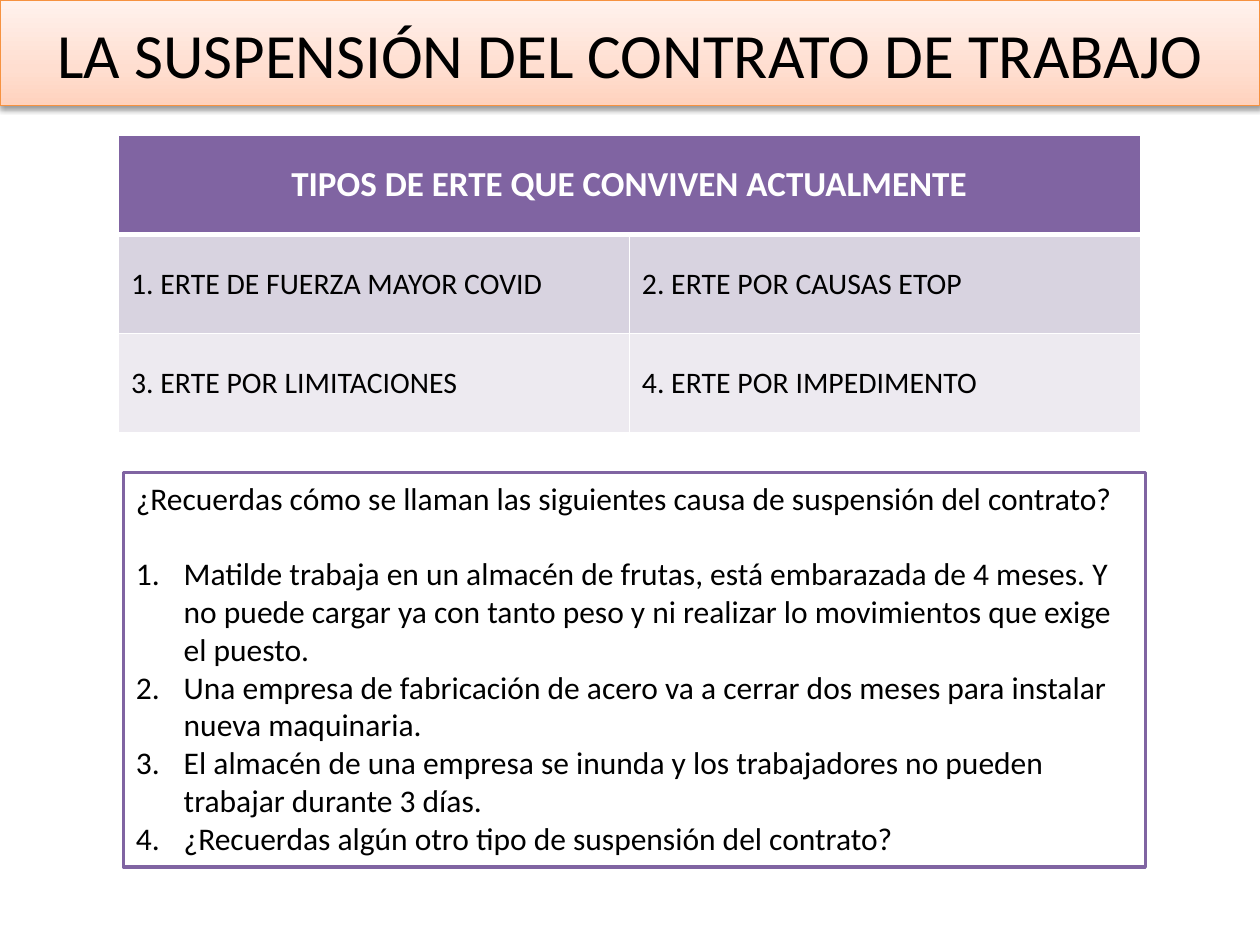
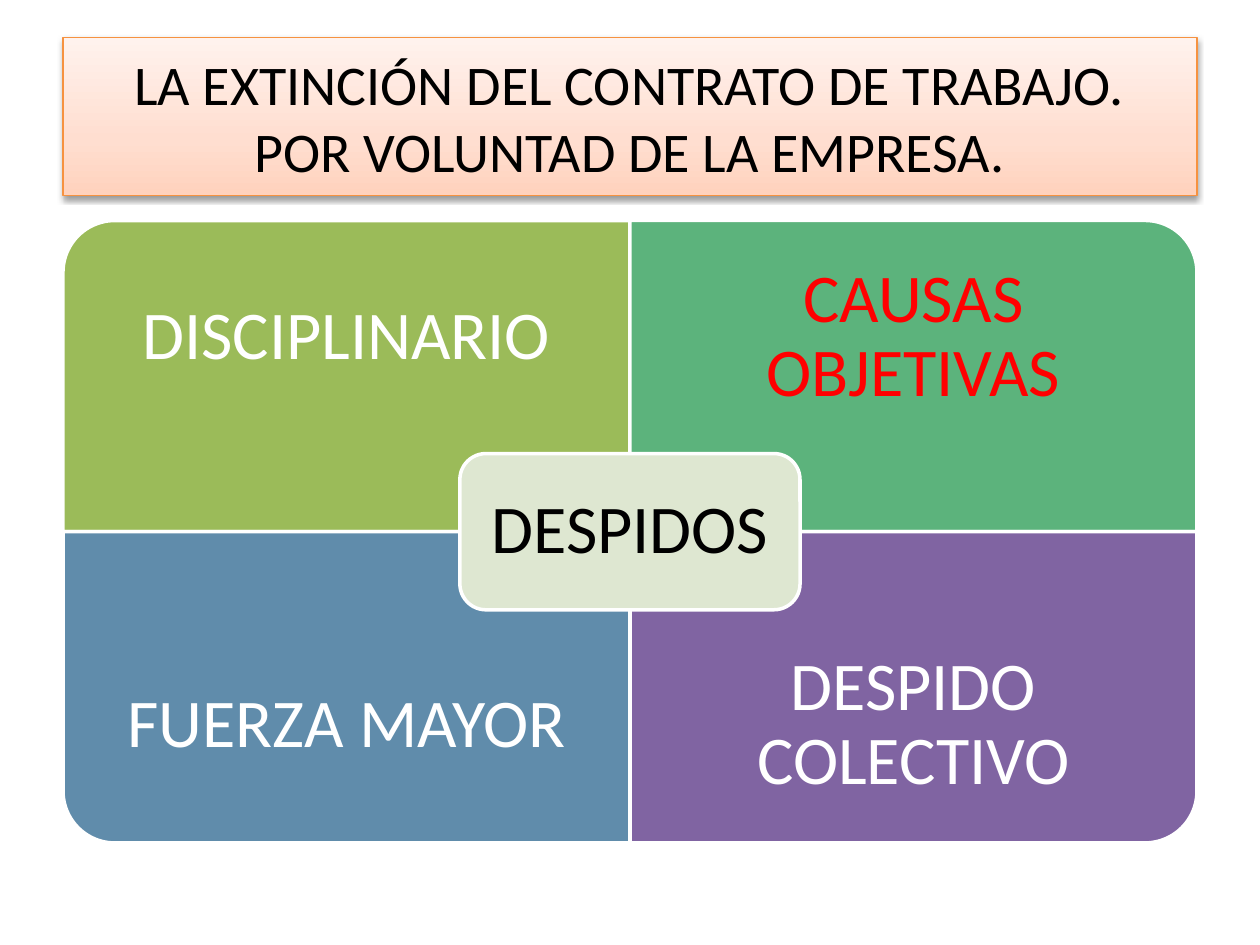
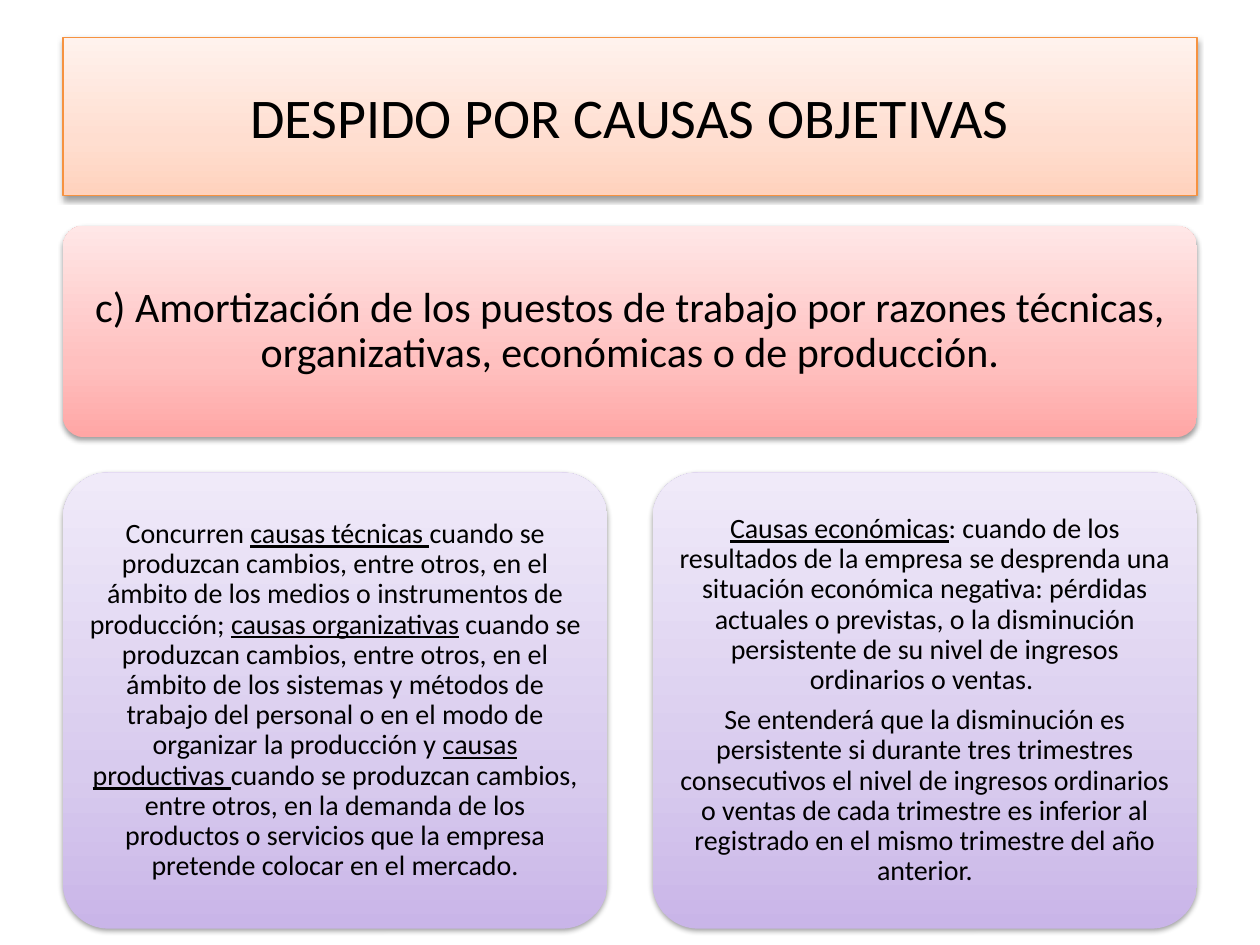
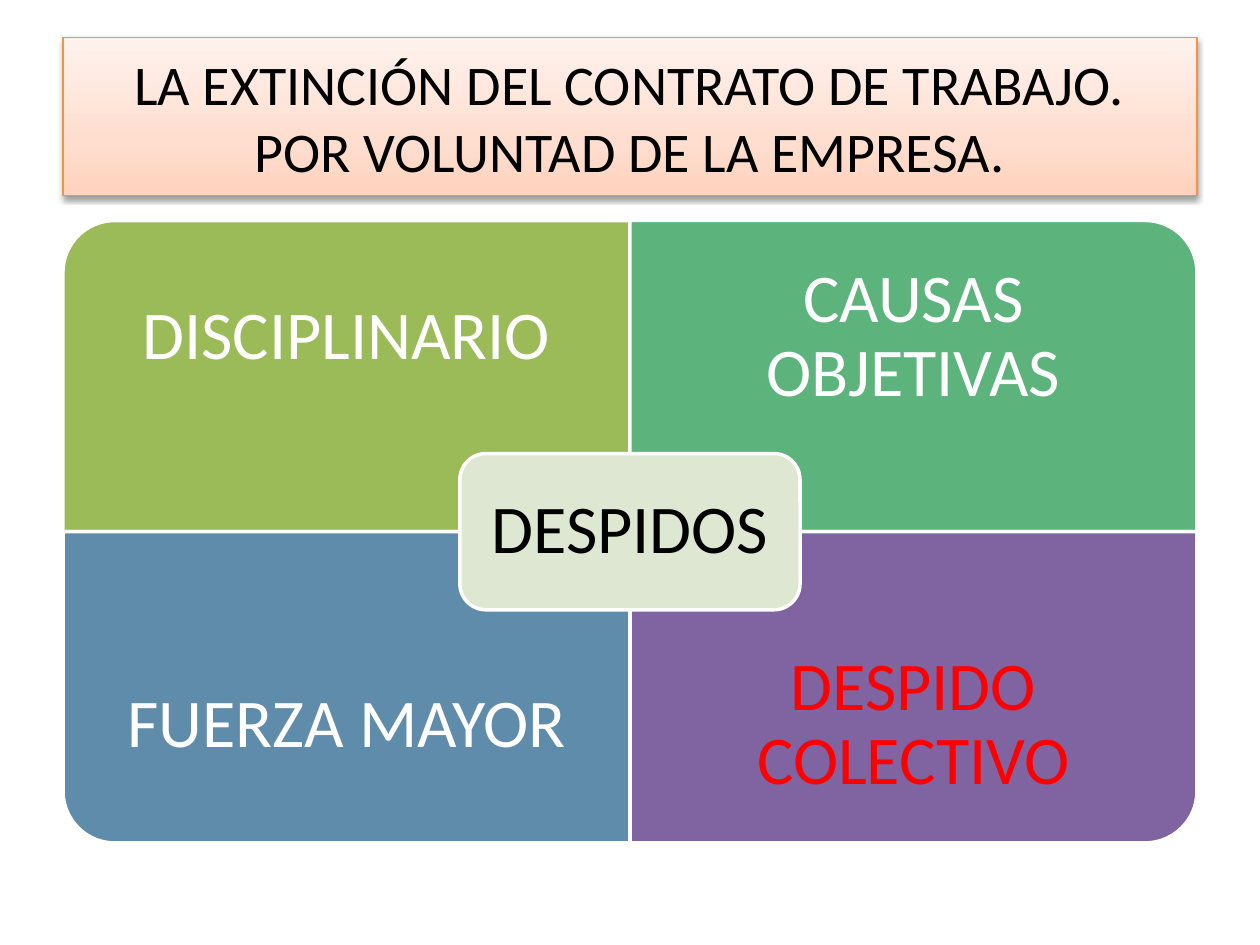
from copy import deepcopy

from lxml import etree
from pptx import Presentation, util as u
from pptx.dml.color import RGBColor
from pptx.enum import shapes, text
from pptx.oxml.ns import qn

# Colours
BLACK = RGBColor(0x00, 0x00, 0x00)
WHITE = RGBColor(0xFF, 0xFF, 0xFF)
RED = RGBColor(0xFF, 0x00, 0x00)
ORANGE = RGBColor(0xF6, 0x92, 0x40)
PURPLE = RGBColor(0x80, 0x64, 0xA2)
LILAC = RGBColor(0xD8, 0xD3, 0xE0)
PALE = RGBColor(0xED, 0xEA, 0xF0)
LIME = RGBColor(0x9B, 0xBB, 0x59)
GREEN = RGBColor(0x5C, 0xB3, 0x7C)
BLUE = RGBColor(0x60, 0x8C, 0xAB)
SAGE = RGBColor(0xDE, 0xE7, 0xD1)

# Gradients, from bottom to top
STOPS = (0, 0.35, 1)
PEACH = [RGBColor.from_string(c) for c in ("FFD2BD", "FFDED0", "FFF2ED")]
ROSE = [RGBColor.from_string(c) for c in ("FFA6A5", "FFC0BF", "FFE7E7")]
MAUVE = [RGBColor.from_string(c) for c in ("C9B5E8", "D8CBEE", "F0EAF9")]

FONT = "Calibri"
COLS, ROWS = 20, 15
KIND = shapes.MSO_SHAPE
MID = text.PP_ALIGN.CENTER


def write(frame, *paras, size=18, color=BLACK, bold=False, align=None,
          inset=None, anchor=text.MSO_ANCHOR.MIDDLE, lines=None, after=0,
          number=False):
    """Fill a frame; _marks_ underline, and a newline breaks the line."""
    frame.word_wrap = True
    frame.vertical_anchor = anchor
    if inset is not None:
        for side in ("left", "top", "right", "bottom"):
            setattr(frame, "margin_" + side, u.Inches(inset))
    for i, para in enumerate(paras):
        p = frame.paragraphs[0] if i == 0 else frame.add_paragraph()
        if align is not None:
            p.alignment = align
        if lines:
            p.line_spacing = lines
        if after:
            p.space_after = u.Pt(after)
        if number and i:
            props = p._p.get_or_add_pPr()
            props.set("marL", str(u.Inches(0.38)))
            props.set("indent", str(-u.Inches(0.38)))
            etree.SubElement(props, qn("a:buAutoNum"), type="arabicPeriod")
        for j, part in enumerate(para.split("_")):
            for k, line in enumerate(part.split("\n")):
                if k:
                    p.add_line_break()
                if not line:
                    continue
                run = p.add_run()
                run.text = line
                font = run.font
                font.name, font.size, font.bold = FONT, u.Pt(size), bold
                font.color.rgb = color
                if j % 2:
                    font.underline = True


class Deck:
    """Holds the style and the current slide; lengths are grid units."""

    def __init__(self):
        self.prs = Presentation()
        self.prs.slide_width = u.Inches(10)
        self.prs.slide_height = u.Inches(7.5)
        self.slide = None

    def area(self, x, y, w, h):
        col = self.prs.slide_width / COLS
        row = self.prs.slide_height / ROWS
        return [round(n) for n in (x * col, y * row, w * col, h * row)]

    def page(self, title, box=(1, 0.6, 18, 2.5), size=32):
        self.slide = self.prs.slides.add_slide(self.prs.slide_layouts[5])
        head = self.slide.shapes.title
        head.left, head.top, head.width, head.height = self.area(*box)
        self.paint(head, PEACH, ORANGE, 0.75)
        write(head.text_frame, title, size=size, align=MID)
        head.text_frame.auto_size = text.MSO_AUTO_SIZE.NONE

    def paint(self, shape, fill, line=None, width=2):
        shape.shadow.inherit = False
        if isinstance(fill, list):
            self.blend(shape, fill)
            self.shade(shape)
        else:
            shape.fill.solid()
            shape.fill.fore_color.rgb = fill
        if line is None:
            shape.line.fill.background()
        else:
            shape.line.color.rgb = line
            shape.line.width = u.Pt(width)

    def blend(self, shape, colors):
        shape.fill.gradient()
        shape.fill.gradient_angle = 90
        stops = shape._element.spPr.find(".//" + qn("a:gsLst"))
        stops.append(deepcopy(stops[0]))
        for stop, color, place in zip(shape.fill.gradient_stops, colors, STOPS):
            stop.color.rgb = color
            stop.position = place

    def shade(self, shape):
        effects = shape._element.spPr.find(qn("a:effectLst"))
        drop = etree.SubElement(effects, qn("a:outerShdw"), blurRad="40000",
                                dist="20000", dir="5400000", rotWithShape="0")
        black = etree.SubElement(drop, qn("a:srgbClr"), val="000000")
        etree.SubElement(black, qn("a:alpha"), val="38000")

    def shape(self, kind, box, fill, line=None, turn=0, round_=None):
        item = self.slide.shapes.add_shape(kind, *self.area(*box))
        item.rotation = turn
        if round_ is not None:
            item.adjustments[0] = round_
        self.paint(item, fill, line)
        return item

    def label(self, box, *paras, size, inset, color=BLACK):
        item = self.slide.shapes.add_textbox(*self.area(*box))
        write(item.text_frame, *paras, size=size, color=color, inset=inset,
              align=MID, lines=0.9, after=round(size * 0.35, 1))

    def panel(self, box, fill, *paras, size, pad, inset):
        x, y, w, h = box
        self.shape(KIND.ROUNDED_RECTANGLE, box, fill, round_=0.1)
        self.label((x + pad, y + pad, w - 2 * pad, h - 2 * pad), *paras,
                   size=size, inset=inset)

    def edge(self, cell, top, low):
        props = cell._tc.get_or_add_tcPr()
        sides = zip("LRTB", (1, 1, top, low))
        for i, (side, width) in enumerate(sides):
            line = etree.Element(qn("a:ln" + side), w=str(u.Pt(width)))
            fill = etree.SubElement(line, qn("a:solidFill"))
            etree.SubElement(fill, qn("a:srgbClr"), val=str(WHITE))
            props.insert(i, line)

    def table(self, box, head, rows):
        count = len(rows[0])
        grid = self.slide.shapes.add_table(
            len(rows) + 1, count, *self.area(*box)).table
        fills = (PURPLE, LILAC, PALE)
        for r, words in enumerate([[head] + [""] * (count - 1)] + rows):
            for c, word in enumerate(words):
                cell = grid.cell(r, c)
                cell.fill.solid()
                cell.fill.fore_color.rgb = fills[r]
                cell.vertical_anchor = text.MSO_ANCHOR.MIDDLE
                self.edge(cell, 3 if r == 1 else 1, 3 if r == 0 else 1)
                if r == 0:
                    style = dict(size=20, color=WHITE, bold=True, align=MID)
                else:
                    style = dict(size=17)
                if word:
                    write(cell.text_frame, word, **style)
        grid.cell(0, 0).merge(grid.cell(0, count - 1))

    def quad(self, hot):
        """Four corners around a hub; the hot one has red words."""
        left, top, wide, high, tall = 1, 3.5, 9, 4.94, 3.72
        parts = (("DISCIPLINARIO", LIME, 270), ("CAUSAS OBJETIVAS", GREEN, 0),
                 ("FUERZA MAYOR", BLUE, 180), ("DESPIDO COLECTIVO", PURPLE, 90))
        for i, (word, fill, turn) in enumerate(parts):
            row, col = divmod(i, 2)
            x, y, w, h = left + col * wide, top + row * high, wide, high
            if turn % 180:
                x, y, w, h = x + (w - h) / 2, y + (h - w) / 2, h, w
            self.shape(KIND.ROUND_1_RECTANGLE, (x, y, w, h), fill, WHITE, turn)
            down = row * (2 * high - tall)
            self.label((left + col * wide, top + down, wide, tall), word,
                       size=39, inset=0.3, color=RED if word == hot else WHITE)
        # Hub
        w, h, pad = 5.4, 2.48, 0.12
        x, y = left + wide - w / 2, top + high - h / 2
        self.shape(KIND.ROUNDED_RECTANGLE, (x, y, w, h), SAGE, WHITE)
        self.label((x + pad, y + pad, w - 2 * pad, h - 2 * pad), "DESPIDOS",
                   size=39, inset=0.16)


def types(deck):
    deck.page("LA SUSPENSIÓN DEL CONTRATO DE TRABAJO", (0, 0, COLS, 1.68), 36)
    deck.table((1.88, 2.15, 16.22, 4.72),
               "TIPOS DE ERTE QUE CONVIVEN ACTUALMENTE",
               [["1. ERTE DE FUERZA MAYOR COVID", "2. ERTE POR CAUSAS ETOP"],
                ["3. ERTE POR LIMITACIONES", "4. ERTE POR IMPEDIMENTO"]])
    quiz = deck.shape(KIND.RECTANGLE, (1.96, 7.5, 16.22, 6.26), WHITE, PURPLE)
    write(quiz.text_frame,
          "¿Recuerdas cómo se llaman las siguientes causa de suspensión del "
          "contrato?",
          "Matilde trabaja en un almacén de frutas, está embarazada de 4 "
          "meses. Y no puede cargar ya con tanto peso y ni realizar lo "
          "movimientos que exige el puesto.",
          "Una empresa de fabricación de acero va a cerrar dos meses para "
          "instalar nueva maquinaria.",
          "El almacén de una empresa se inunda y los trabajadores no pueden "
          "trabajar durante 3 días.",
          "¿Recuerdas algún otro tipo de suspensión del contrato?",
          anchor=text.MSO_ANCHOR.TOP, align=text.PP_ALIGN.LEFT, number=True)
    quiz.text_frame.paragraphs[0].space_after = u.Pt(21.6)


def ending(deck, hot):
    deck.page("LA EXTINCIÓN DEL CONTRATO DE TRABAJO.\n"
              "POR VOLUNTAD DE LA EMPRESA.")
    deck.quad(hot)


def causes(deck):
    deck.page("DESPIDO POR CAUSAS OBJETIVAS")
    deck.panel((1, 3.58, 18, 3.36), ROSE,
               "c) Amortización de los puestos de trabajo por razones "
               "técnicas, organizativas, económicas o de producción.",
               size=24, pad=0.1, inset=0.1)
    notes = (
        ["Concurren _causas técnicas _cuando se produzcan cambios, entre "
         "otros, en el ámbito de los medios o instrumentos de producción; "
         "_causas organizativas_ cuando se produzcan cambios, entre otros, en "
         "el ámbito de los sistemas y métodos de trabajo del personal o en el "
         "modo de organizar la producción y _causas productivas _cuando se "
         "produzcan cambios, entre otros, en la demanda de los productos o "
         "servicios que la empresa pretende colocar en el mercado."],
        ["_Causas económicas_: cuando de los resultados de la empresa se "
         "desprenda una situación económica negativa: pérdidas actuales o "
         "previstas, o la disminución persistente de su nivel de ingresos "
         "ordinarios o ventas. ",
         "Se entenderá que la disminución es persistente si durante tres "
         "trimestres consecutivos el nivel de ingresos ordinarios o ventas de "
         "cada trimestre es inferior al registrado en el mismo trimestre del "
         "año anterior."])
    wide = 8.64
    for i, paras in enumerate(notes):
        deck.panel((1 + i * (18 - wide), 7.5, wide, 7.24), MAUVE, *paras,
                   size=16, pad=0.21, inset=0.07)


def main():
    deck = Deck()
    types(deck)
    ending(deck, "CAUSAS OBJETIVAS")
    causes(deck)
    ending(deck, "DESPIDO COLECTIVO")
    deck.prs.save("out.pptx")


if __name__ == "__main__":
    main()
